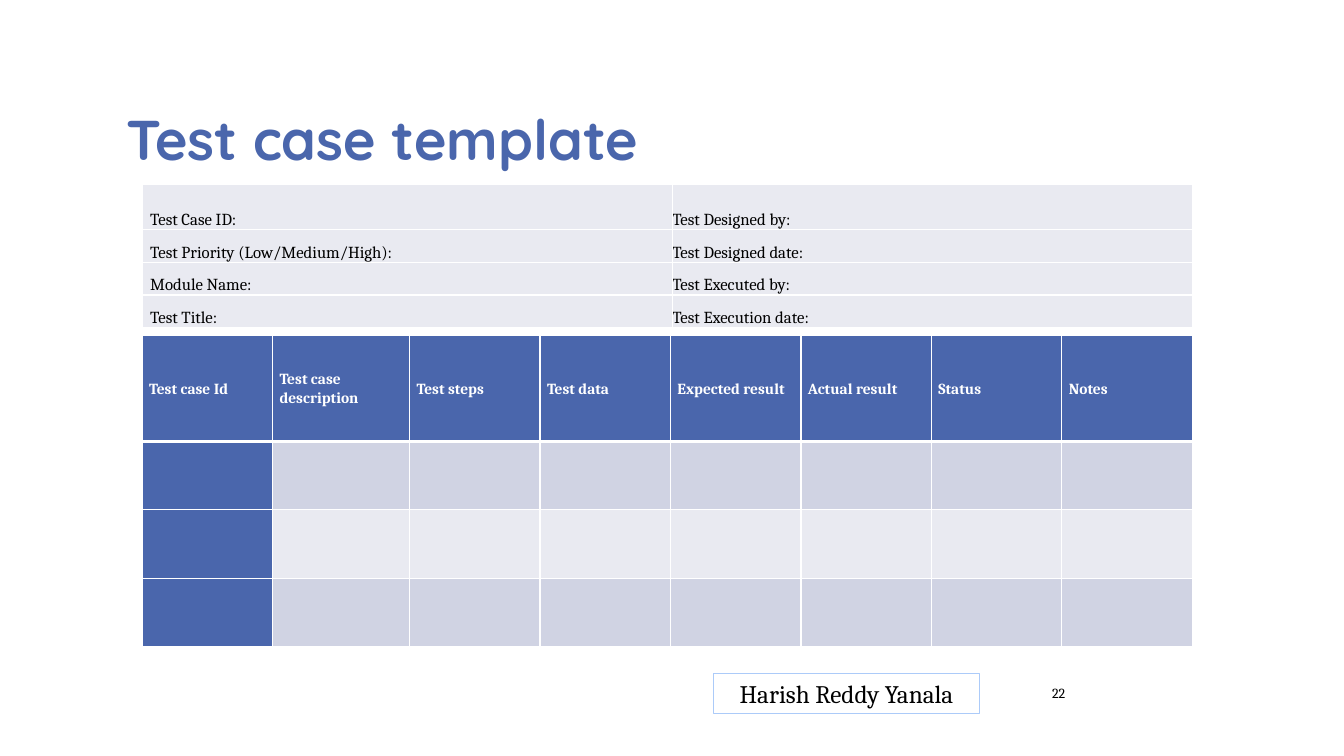
"""Build the test case template slide."""
from dataclasses import dataclass

from lxml import etree
from pptx import Presentation
from pptx.dml.color import RGBColor
from pptx.enum.shapes import MSO_SHAPE
from pptx.enum.text import MSO_ANCHOR, PP_ALIGN
from pptx.oxml.ns import qn
from pptx.util import Pt

BLUE = RGBColor(0x4A, 0x66, 0xAC)
LIGHT_BLUE = RGBColor(0xAC, 0xCB, 0xF9)
BAND_DARK = RGBColor(0xD0, 0xD3, 0xE3)
BAND_LIGHT = RGBColor(0xE9, 0xEA, 0xF1)
BLACK = RGBColor(0, 0, 0)
WHITE = RGBColor(0xFF, 0xFF, 0xFF)

LEFT, CENTER, RIGHT = PP_ALIGN.LEFT, PP_ALIGN.CENTER, PP_ALIGN.RIGHT
MIDDLE, BOTTOM = MSO_ANCHOR.MIDDLE, MSO_ANCHOR.BOTTOM
RECTANGLE = MSO_SHAPE.RECTANGLE

TABLE_LEFT = 101.5
DETAILS = [
    ["Test Case ID:", "Test Designed by:"],
    ["Test Priority (Low/Medium/High):", "Test Designed date:"],
    ["Module Name:", "Test Executed by:"],
    ["Test Title:", "Test Execution date:"],
]
HEADINGS = ["Test case Id", "Test case description", "Test steps", "Test data",
            "Expected result", "Actual result", "Status", "Notes"]


@dataclass
class TextStyle:
    size: float
    color: RGBColor = BLACK
    font: str = "Cambria"
    bold: bool = False
    align: int = LEFT
    spacing: float = 1.0


@dataclass
class Label:
    text: str
    box: tuple[float, float, float, float]
    style: TextStyle
    anchor: int = MIDDLE
    outline: RGBColor | None = None


@dataclass
class CellFormat:
    style: TextStyle
    fill: RGBColor
    anchor: int
    left_margin: float
    right_margin: float = 0
    bottom_border: float = 1


DETAIL_STYLE = TextStyle(12)
HEADING_STYLE = TextStyle(11, WHITE, bold=True, spacing=1.07)
LABELS = [
    Label("22", (672, 484.5, 96, 21.6), TextStyle(10, align=RIGHT)),
    Label("Test case template", (83.5, 41.8, 684, 84.2),
          TextStyle(40, BLUE, "Quicksand", True, spacing=0.8), BOTTOM),
    Label("Harish Reddy Yanala", (509.5, 481, 190.5, 29),
          TextStyle(18, align=CENTER), outline=LIGHT_BLUE),
]


def write_text(text_frame, text: str, style: TextStyle) -> None:
    paragraph = text_frame.paragraphs[0]
    paragraph.alignment = style.align
    paragraph.line_spacing = style.spacing
    run = paragraph.add_run()
    run.text = text
    font_values = {"name": style.font, "size": Pt(style.size), "bold": style.bold}
    for name, value in font_values.items():
        setattr(run.font, name, value)
    run.font.color.rgb = style.color


def add_label(slide, label: Label) -> None:
    box = [Pt(length) for length in label.box]
    if label.outline is None:
        shape = slide.shapes.add_textbox(*box)
    else:
        shape = slide.shapes.add_shape(RECTANGLE, *box)
        shape.shadow.inherit = False
        shape.fill.background()
        shape.line.color.rgb = label.outline
        shape.line.width = Pt(0.75)
    shape.text_frame.word_wrap = True
    shape.text_frame.vertical_anchor = label.anchor
    write_text(shape.text_frame, label.text, label.style)


def add_borders(cell, bottom: float, top: float) -> None:
    properties = cell._tc.get_or_add_tcPr()
    widths = {"a:lnL": 1, "a:lnR": 1, "a:lnT": top, "a:lnB": bottom}
    for index, (tag, width) in enumerate(widths.items()):
        line = etree.Element(qn(tag), w=str(Pt(width)))
        fill = etree.SubElement(line, qn("a:solidFill"))
        etree.SubElement(fill, qn("a:srgbClr"), val=str(WHITE))
        properties.insert(index, line)


def format_cell(cell, text: str, cell_format: CellFormat, top_border: float) -> None:
    cell_values = {
        "vertical_anchor": cell_format.anchor,
        "margin_left": Pt(cell_format.left_margin),
        "margin_right": Pt(cell_format.right_margin),
        "margin_top": 0,
        "margin_bottom": 0,
    }
    for name, value in cell_values.items():
        setattr(cell, name, value)
    cell.fill.solid()
    cell.fill.fore_color.rgb = cell_format.fill
    add_borders(cell, cell_format.bottom_border, top_border)
    if text:
        write_text(cell.text_frame, text, cell_format.style)


def add_grid(slide, top: float, widths: list[float], heights: list[float],
             texts: list[list[str]], choose_format) -> None:
    table = slide.shapes.add_table(
        len(heights), len(widths), Pt(TABLE_LEFT), Pt(top),
        Pt(sum(widths)), Pt(sum(heights))).table
    table.first_row = table.horz_banding = False
    for column, width in zip(table.columns, widths):
        column.width = Pt(width)
    for row_index, height in enumerate(heights):
        table.rows[row_index].height = Pt(height)
        for column_index, text in enumerate(texts[row_index]):
            above = choose_format(row_index - 1, column_index) if row_index else None
            format_cell(table.cell(row_index, column_index), text,
                        choose_format(row_index, column_index),
                        above.bottom_border if above else 1)


def detail_format(row: int, column: int) -> CellFormat:
    return CellFormat(DETAIL_STYLE, BAND_LIGHT, BOTTOM, 0 if column else 5.8)


def step_format(row: int, column: int) -> CellFormat:
    if row == 0 or column == 0:
        fill = BLUE
    else:
        fill = BAND_DARK if row % 2 else BAND_LIGHT
    return CellFormat(HEADING_STYLE, fill, MIDDLE, 5, 5, 1 if row else 3)


def main() -> None:
    presentation = Presentation()
    presentation.slide_width = Pt(960)
    presentation.slide_height = Pt(540)
    slide = presentation.slides.add_slide(presentation.slide_layouts[6])
    for label in LABELS:
        add_label(slide, label)
    add_grid(slide, 131.8, [378.7, 371.6], [32.4] + [23.3] * 3, DETAILS, detail_format)
    add_grid(slide, 239.7, [93.2, 97.9] + [93.2] * 6, [75.6] + [48.9] * 3,
             [HEADINGS] + [[""] * len(HEADINGS)] * 3, step_format)
    presentation.save("out.pptx")


if __name__ == "__main__":
    main()
